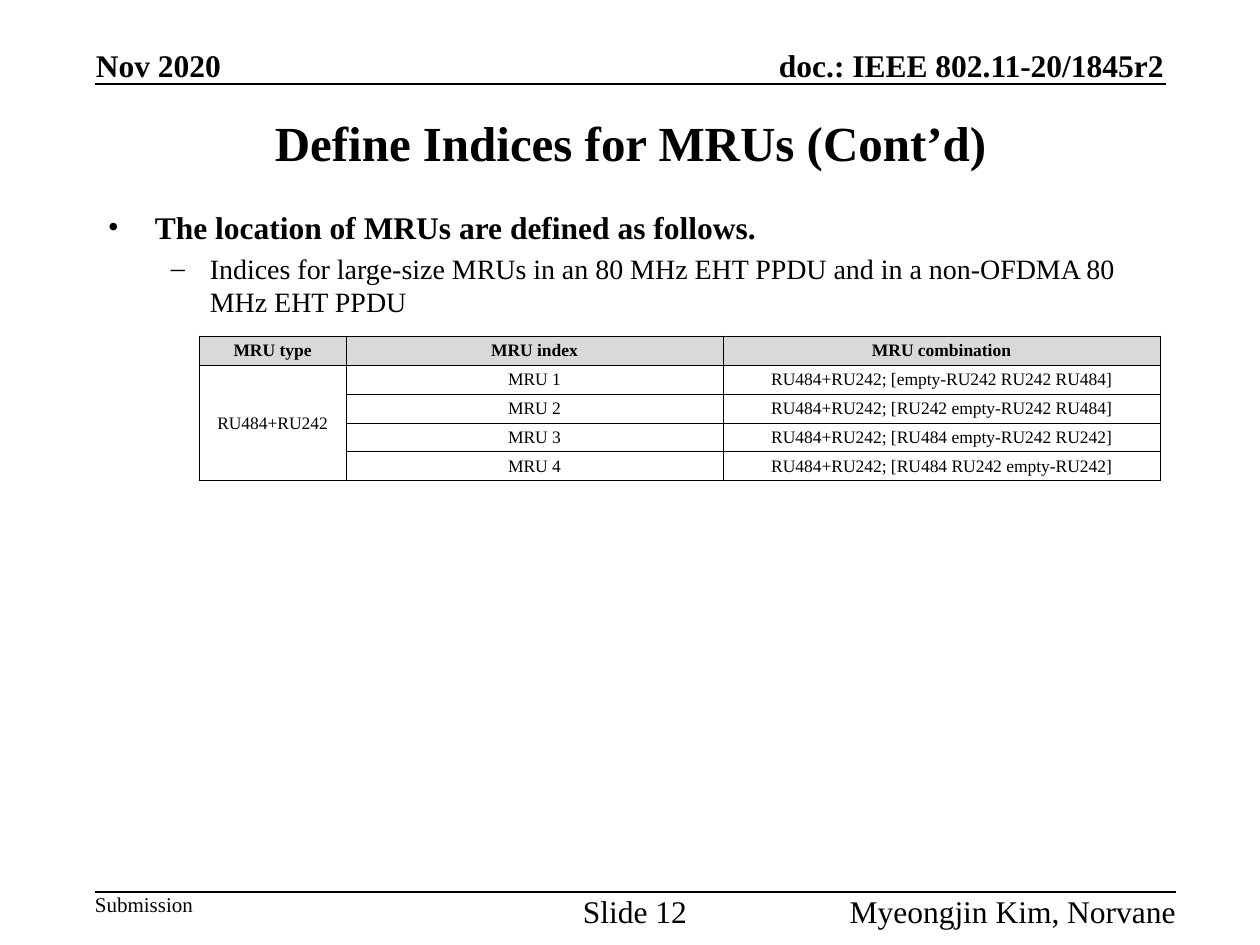
from collections import namedtuple

from lxml import etree
from pptx import Presentation
from pptx.dml.color import RGBColor
from pptx.enum.shapes import MSO_CONNECTOR as Connector
from pptx.enum.text import MSO_ANCHOR as Anchor, MSO_AUTO_SIZE as AutoSize, PP_ALIGN as Align
from pptx.oxml.ns import qn
from pptx.util import Emu, Pt

Box = namedtuple("Box", "left top width height")
FONT = "Times New Roman"
BLACK = "000000"
GREY = "D9D9D9"


def px(length):
    """Turn px (126 to the inch) into EMU."""
    return Emu(round(length * 914400 / 126))


def color(value):
    return RGBColor.from_string(value)


def add_bullet(paragraph, character, margin, hanging):
    properties = paragraph._p.get_or_add_pPr()
    properties.set("marL", str(px(margin)))
    properties.set("indent", str(-px(hanging)))
    etree.SubElement(properties, qn("a:buFont")).set("typeface", FONT)
    etree.SubElement(properties, qn("a:buChar")).set("char", character)


def write(paragraph, text, size=18, bold=False, align=Align.LEFT):
    run = paragraph.add_run()
    run.text = text
    paragraph.alignment = align
    font = run.font
    font.name, font.size, font.bold = FONT, Pt(size), bold
    font.color.rgb = color(BLACK)


def add_frame(slide, box, insets=(0, 0, 0, 0), anchor=Anchor.TOP, wrap=True):
    shape = slide.shapes.add_textbox(*map(px, box))
    frame = shape.text_frame
    frame.margin_left, frame.margin_top, frame.margin_right, frame.margin_bottom = map(px, insets)
    frame.vertical_anchor = anchor
    frame.word_wrap = wrap
    frame.auto_size = AutoSize.NONE
    return frame


def add_label(slide, box, text, anchor=Anchor.TOP, **text_format):
    frame = add_frame(slide, box, anchor=anchor)
    write(frame.paragraphs[0], text, **text_format)


def add_rule(slide, left, top, width):
    rule = slide.shapes.add_connector(
        Connector.STRAIGHT, px(left), px(top), px(left + width), px(top))
    rule.line.color.rgb = color(BLACK)
    rule.line.width = Pt(1)
    etree.SubElement(rule._element.spPr, qn("a:effectLst"))


def add_header(slide, box):
    left, top, width, height = box
    add_label(slide, Box(left + 1, top, 163, height), "Nov 2020",
              Anchor.BOTTOM, bold=True)
    add_label(slide, Box(left + width - 454, top, 452, height),
              "doc.: IEEE 802.11-20/1845r2", Anchor.BOTTOM, bold=True, align=Align.RIGHT)
    add_rule(slide, left, top + height, width)


def add_footer(slide, box):
    left, top, width, height = box
    add_rule(slide, left, top, width)
    add_label(slide, Box(left, top, 120, height), "Submission", size=12)
    add_label(slide, Box(left + (width - 140) // 2, top, 140, height), "Slide 12",
              align=Align.CENTER)
    add_label(slide, Box(left + width - 380, top, 380, height),
              "Myeongjin Kim, Norvane", align=Align.RIGHT)


def add_title(slide, box, text):
    frame = add_frame(slide, box, (13, 6, 13, 6), Anchor.MIDDLE)
    write(frame.paragraphs[0], text, size=28, bold=True, align=Align.CENTER)


def add_body(slide, box):
    frame = add_frame(slide, box, (13, 9, 13, 6))
    point = frame.paragraphs[0]
    add_bullet(point, "•", 47, 47)
    write(point, "The location of MRUs are defined as follows.", bold=True)

    detail = frame.add_paragraph()
    detail.level = 1
    add_bullet(detail, "–", 102, 39)
    detail.space_before = Pt(3.2)
    write(detail, "Indices for large-size MRUs in an 80 MHz EHT PPDU "
                  "and in a non-OFDMA 80 MHz EHT PPDU", size=16)


def add_borders(cell):
    properties = cell._tc.get_or_add_tcPr()
    for side in ("lnL", "lnR", "lnT", "lnB"):
        line = etree.SubElement(properties, qn(f"a:{side}"), w=str(Pt(0.5)))
        fill = etree.SubElement(line, qn("a:solidFill"))
        etree.SubElement(fill, qn("a:srgbClr"), val=BLACK)


def add_mru_table(slide, box):
    header = ["MRU type", "MRU index", "MRU combination"]
    combinations = [
        "empty-RU242 RU242 RU484",
        "RU242 empty-RU242 RU484",
        "RU484 empty-RU242 RU242",
        "RU484 RU242 empty-RU242",
    ]
    mru_type = "RU484+RU242"
    rows = [header] + [
        [mru_type if number == 1 else "", f"MRU {number}", f"{mru_type}; [{combination}]"]
        for number, combination in enumerate(combinations, 1)
    ]
    table = slide.shapes.add_table(len(rows), len(header), *map(px, box)).table
    table.first_row = table.horz_banding = False
    for column, width in zip(table.columns, (147, 377, box.width - 524)):
        column.width = px(width)

    for row_index, row in enumerate(rows):
        for column_index, text in enumerate(row):
            cell = table.cell(row_index, column_index)
            cell.margin_left = cell.margin_right = cell.margin_top = px(1)
            cell.margin_bottom = 0
            cell.vertical_anchor = Anchor.MIDDLE
            add_borders(cell)
            if row_index == 0:
                cell.fill.solid()
                cell.fill.fore_color.rgb = color(GREY)
            else:
                cell.fill.background()
            if text:
                write(cell.text_frame.paragraphs[0], text, size=10,
                      bold=row_index == 0, align=Align.CENTER)
    # One type covers every index
    table.cell(1, 0).merge(table.cell(len(rows) - 1, 0))


def main():
    presentation = Presentation()
    presentation.slide_width, presentation.slide_height = px(1260), px(945)
    slide = presentation.slides.add_slide(presentation.slide_layouts[6])

    add_header(slide, Box(95, 45, 1071, 39))
    add_footer(slide, Box(95, 892, 1081, 38))
    add_title(slide, Box(95, 95, 1071, 94), "Define Indices for MRUs (Cont’d)")
    add_body(slide, Box(95, 199, 1071, 640))
    add_mru_table(slide, Box(199, 336, 961, 145))
    presentation.save("out.pptx")


if __name__ == "__main__":
    main()
